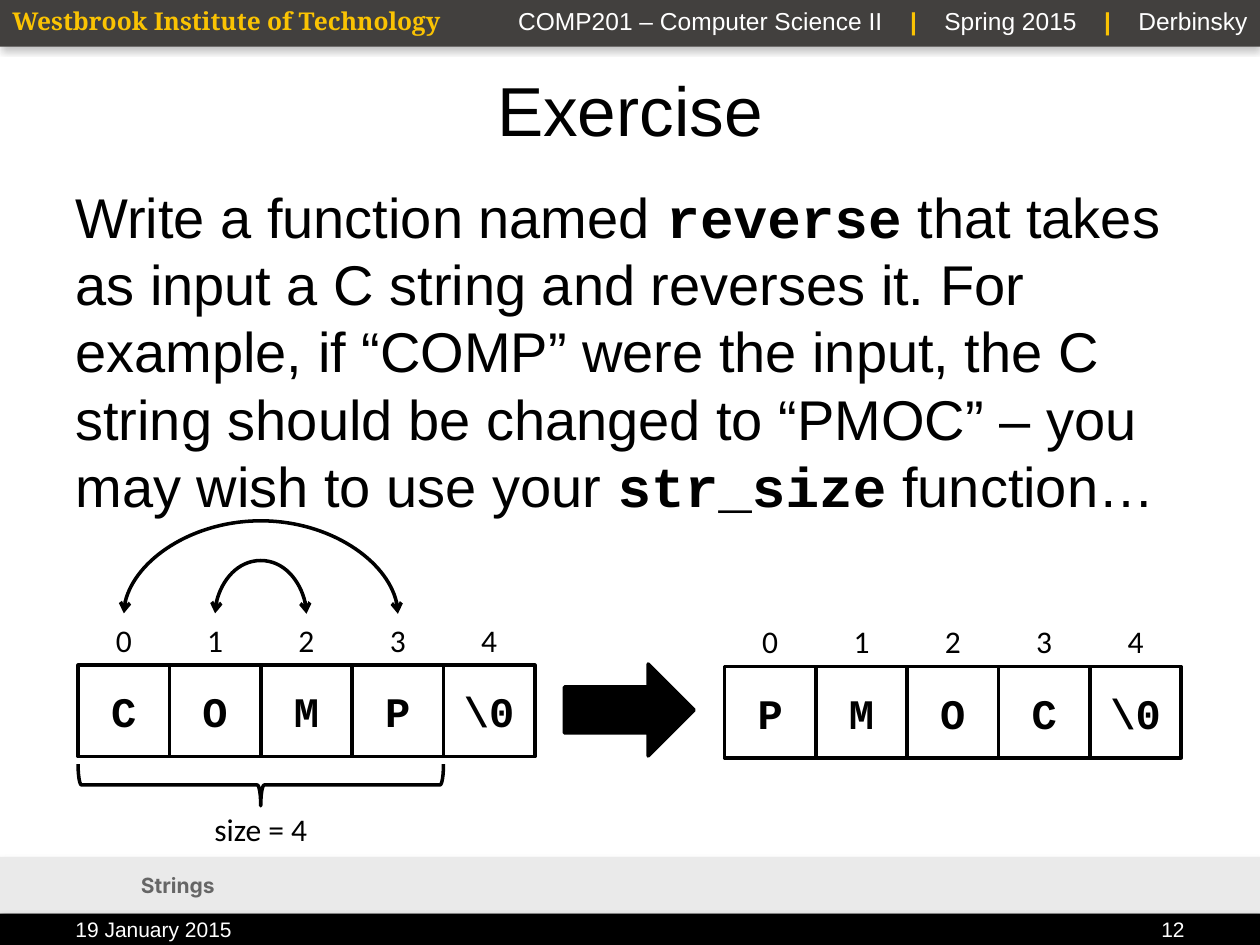
from dataclasses import dataclass

import pptx
import pptx.dml.color
import pptx.enum.shapes
import pptx.enum.text
import pptx.oxml
import pptx.oxml.ns
import pptx.util
from pptx.util import Inches

SHAPE = pptx.enum.shapes.MSO_SHAPE
ALIGN = pptx.enum.text.PP_ALIGN
ANCHOR = pptx.enum.text.MSO_ANCHOR
BLACK, WHITE, GOLD = "000000", "FFFFFF", "FAC303"
CELL = 0.725
LABEL_HEIGHT = 0.4


@dataclass
class Style:
    size: float
    font: str = "Arial"
    color: str = BLACK
    bold: bool = False


@dataclass
class Run:
    text: str
    font: str | None = None
    color: str | None = None
    bold: bool | None = None
    spacing: float = 0


@dataclass
class Box:
    left: float
    top: float
    width: float
    height: float

    def inches(self) -> tuple:
        return tuple(Inches(v) for v in (self.left, self.top, self.width, self.height))


@dataclass
class CharArray:
    left: float
    top: float
    chars: list[str]


def rgb(color: str) -> pptx.dml.color.RGBColor:
    return pptx.dml.color.RGBColor.from_string(color)


def set_text(sp, runs: list[Run], style: Style, align=ALIGN.LEFT, anchor=ANCHOR.TOP):
    tf = sp.text_frame
    tf.word_wrap = True
    tf.vertical_anchor = anchor
    p = tf.paragraphs[0]
    p.alignment = align
    p.font.size = pptx.util.Pt(style.size)
    p.font.name = style.font
    p.font.bold = style.bold
    p.font.color.rgb = rgb(style.color)
    for run in runs:
        r = p.add_run()
        r.text = run.text
        if run.font:
            r.font.name = run.font
        if run.color:
            r.font.color.rgb = rgb(run.color)
        if run.bold:
            r.font.bold = True
        if run.spacing:
            r.font._element.set("spc", str(round(run.spacing * 100)))
    return p


def add_text(shapes, box: Box, runs: list[Run], style: Style, align=ALIGN.LEFT, anchor=ANCHOR.TOP):
    return set_text(shapes.add_textbox(*box.inches()), runs, style, align, anchor)


def add_shape(shapes, kind, box: Box, fill: str | None = None, line: str | None = BLACK):
    sp = shapes.add_shape(kind, *box.inches())
    sp.shadow.inherit = False
    if fill:
        sp.fill.solid()
        sp.fill.fore_color.rgb = rgb(fill)
    else:
        sp.fill.background()
    if line:
        sp.line.color.rgb = rgb(line)
        sp.line.width = pptx.util.Pt(2)
    else:
        sp.line.fill.background()
    return sp


def add_bar(shapes, top: float, height: float, fill: str):
    """Draw a full-width band with a soft shadow below it."""
    sp = add_shape(shapes, SHAPE.RECTANGLE, Box(0, top, 10, height), fill, None)
    effects = sp._element.spPr.find(pptx.oxml.ns.qn("a:effectLst"))
    effects.append(pptx.oxml.parse_xml(
        f'<a:outerShdw {pptx.oxml.ns.nsdecls("a")} blurRad="50800" dist="25400" dir="5400000">'
        '<a:srgbClr val="666666"><a:alpha val="40000"/></a:srgbClr></a:outerShdw>'))


def add_array(shapes, array: CharArray):
    group = shapes.add_group_shape().shapes
    for i, char in enumerate(array.chars):
        left = array.left + i * CELL
        cell = add_shape(group, SHAPE.RECTANGLE, Box(left, array.top, CELL, CELL), WHITE)
        set_text(cell, [Run(char)], Style(24, "Courier New", bold=True), ALIGN.CENTER, ANCHOR.MIDDLE)
        add_text(group, Box(left, array.top - LABEL_HEIGHT, CELL, LABEL_HEIGHT),
                 [Run(str(i))], Style(18, "Calibri"), ALIGN.CENTER)


def add_swap_arc(shapes, center: float, base: float, span: float, rise: float):
    """Draw a curve with two arrowheads that spans two cells from above."""
    thickness = 0.003
    top = base - span / 2
    arc = shapes.add_connector(
        pptx.enum.shapes.MSO_CONNECTOR.CURVE,
        Inches(center + thickness / 2), Inches(top),
        Inches(center - thickness / 2), Inches(top + span))
    arc.line.color.rgb = rgb(BLACK)
    arc.line.width = pptx.util.Pt(2)
    spPr = arc._element.spPr
    spPr.find(pptx.oxml.ns.qn("a:xfrm")).set("rot", str(270 * 60000))
    guides = spPr.find(pptx.oxml.ns.qn("a:prstGeom")).get_or_add_avLst()
    guide = pptx.oxml.parse_xml(
        f'<a:gd {pptx.oxml.ns.nsdecls("a")} name="adj1" fmla="val {round(-rise / thickness * 100000)}"/>')
    guides.append(guide)
    ln = arc.line._get_or_add_ln()
    for end in ("headEnd", "tailEnd"):
        ln.append(pptx.oxml.parse_xml(f'<a:{end} {pptx.oxml.ns.nsdecls("a")} type="arrow"/>'))
    spPr.append(pptx.oxml.parse_xml(f'<a:effectLst {pptx.oxml.ns.nsdecls("a")}/>'))


def main():
    prs = pptx.Presentation()
    prs.slide_width, prs.slide_height = Inches(10), Inches(7.5)
    shapes = prs.slides.add_slide(prs.slide_layouts[6]).shapes

    add_bar(shapes, 6.8, 0.45, "EAEAEA")
    add_bar(shapes, 7.25, 0.25, BLACK)
    add_bar(shapes, 0, 0.37, "42403E")

    add_text(shapes, Box(0, 0, 3.76, 0.34), [Run("Westbrook Institute of Technology")],
             Style(14, "Noto Serif", GOLD, True))
    gap = Run(" ", spacing=11.7)
    separator = [gap, Run("|", color=GOLD, bold=True), gap]
    add_text(shapes, Box(3.76, 0, 6.24, 0.34),
             [Run("COMP201 – Computer Science II"), *separator, Run("Spring 2015"),
              *separator, Run("Derbinsky")],
             Style(14, color=WHITE), ALIGN.RIGHT)

    add_text(shapes, Box(0.5, 0.53, 9, 0.66), [Run("Exercise")], Style(39.6),
             ALIGN.CENTER, ANCHOR.MIDDLE)
    body = add_text(shapes, Box(0.5, 1.4, 9, 5.3), [
        Run("Write a function named "),
        Run("reverse", "Courier New", bold=True),
        Run(" that takes as input a C string and reverses it. For example, if “COMP” were "
            "the input, the C string should be changed to “PMOC” – you may wish to use your "),
        Run("str_size", "Courier New", bold=True),
        Run(" function…")], Style(32))
    body.space_before = pptx.util.Pt(6.4)

    footer = Style(12, color=WHITE)
    add_text(shapes, Box(0.5, 7.25, 2.51, 0.25), [Run("19 January 2015")], footer,
             anchor=ANCHOR.MIDDLE)
    add_text(shapes, Box(1.02, 6.86, 8.48, 0.33), [Run("Strings")],
             Style(12, "Inter", "666666", True), anchor=ANCHOR.MIDDLE)
    add_text(shapes, Box(8.31, 7.25, 1.19, 0.25), [Run("12")], footer, ALIGN.RIGHT, ANCHOR.MIDDLE)

    before = CharArray(0.62, 5.28, ["C", "O", "M", "P", "\\0"])
    after = CharArray(5.75, 5.29, ["P", "M", "O", "C", "\\0"])
    word_width = 4 * CELL
    word_center = before.left + word_width / 2

    size_note = shapes.add_group_shape().shapes
    brace = add_shape(size_note, SHAPE.LEFT_BRACE,
                      Box(word_center - 0.33 / 2, 4.78, 0.33, word_width))
    brace.rotation = 270
    add_text(size_note, Box(before.left, 6.38, word_width, LABEL_HEIGHT), [Run("size = 4")],
             Style(18, "Calibri"), ALIGN.CENTER)

    add_shape(shapes, SHAPE.RIGHT_ARROW, Box(4.48, 5.27, 1.03, 0.73), BLACK)
    for array in (before, after):
        add_array(shapes, array)
    for cells, rise in ((3, 0.7), (1, 0.4)):
        add_swap_arc(shapes, word_center, 4.87, cells * CELL, rise)

    prs.save("out.pptx")


if __name__ == "__main__":
    main()
